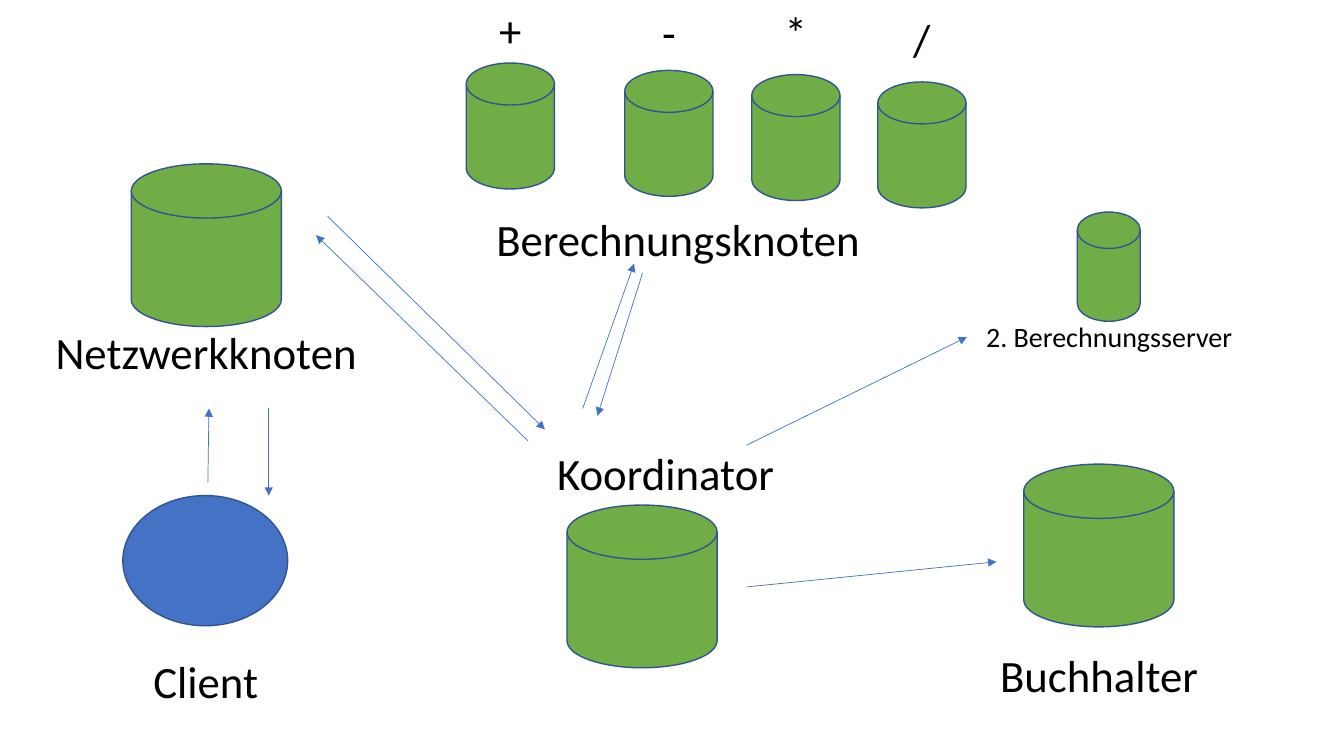
"""Build a slide of a compute network: client, nodes, coordinator and servers."""
import dataclasses

import pptx
import pptx.dml.color
import pptx.enum.shapes
import pptx.enum.text
import pptx.oxml
import pptx.util

Kind = pptx.enum.shapes.MSO_SHAPE


@dataclasses.dataclass(frozen=True)
class Theme:
    """Colours, font and sizes in points."""
    node: str = "70AD47"
    client: str = "4472C4"
    edge: str = "325491"
    arrow: str = "4472C4"
    ink: str = "000000"
    font: str = "Calibri"
    large: int = 32
    small: int = 20
    rim: float = 1
    thin: float = 0.5


def px(num):
    """Turn px into EMU."""
    return pptx.util.Emu(num * 9525)


def rgb(code):
    """Turn a hex code into a colour."""
    return pptx.dml.color.RGBColor.from_string(code)


def put(item, **form):
    """Set each format value on the item."""
    for name, value in form.items():
        setattr(item, name, value)


class Board:
    """Hold the theme and the current slide."""

    def __init__(self, slide, theme):
        """Keep the slide's shapes and the theme."""
        self.shapes = slide.shapes
        self.theme = theme

    def solid(self, kind, box, fill):
        """Add an outlined shape."""
        shape = self.shapes.add_shape(kind, *map(px, box))
        shape.shadow.inherit = False
        shape.fill.solid()
        shape.fill.fore_color.rgb = rgb(fill)
        shape.line.color.rgb = rgb(self.theme.edge)
        shape.line.width = pptx.util.Pt(self.theme.rim)

    def disk(self, box):
        """Add a green drum."""
        self.solid(Kind.FLOWCHART_MAGNETIC_DISK, box, self.theme.node)

    def label(self, text, box, size, wrap=False):
        """Add a centred line of text."""
        shape = self.shapes.add_textbox(*map(px, box))
        frame = shape.text_frame
        put(frame, text=text, word_wrap=wrap,
            auto_size=pptx.enum.text.MSO_AUTO_SIZE.SHAPE_TO_FIT_TEXT)
        para = frame.paragraphs[0]
        para.alignment = pptx.enum.text.PP_ALIGN.CENTER
        font = para.runs[0].font
        put(font, name=self.theme.font, size=pptx.util.Pt(size))
        font.color.rgb = rgb(self.theme.ink)
        return shape

    def arrow(self, ends):
        """Add a thin line with a head at its end."""
        link = self.shapes.add_connector(
            pptx.enum.shapes.MSO_CONNECTOR.STRAIGHT, *map(px, ends))
        link.line.color.rgb = rgb(self.theme.arrow)
        link.line.width = pptx.util.Pt(self.theme.thin)
        space = pptx.oxml.ns.nsdecls("a")
        head = pptx.oxml.parse_xml(f'<a:tailEnd {space} type="triangle"/>')
        link.line._get_or_add_ln().append(head)
        link._element.spPr.append(pptx.oxml.parse_xml(f"<a:effectLst {space}/>"))
        return link


SIGNS = [("+", 444, 60, -2), ("-", 595, 67, 0),
         ("*", 716, 71, 0), ("/", 836, 78, 6)]
DRUMS = [(125, 156), (540, 481), (975, 442)]
NAMES = [("Berechnungsknoten", 461, 197, 370, False),
         ("Netzwerkknoten", 42, 305, 309, False),
         ("Buchhalter", 942, 612, 210, False),
         ("Client", 136, 618, 120, True),
         ("Koordinator", 520, 420, 228, False)]
ARROWS = [(198, 460, 199, 389), (256, 389, 256, 472),
          (312, 206, 519, 409), (503, 420, 301, 224),
          (555, 389, 604, 251), (612, 260, 569, 396),
          (711, 559, 949, 535)]


def main():
    """Draw the network and save it."""
    deck = pptx.Presentation()
    put(deck, slide_width=px(1280), slide_height=px(720))
    theme = Theme()
    board = Board(deck.slides.add_slide(deck.slide_layouts[6]), theme)

    board.solid(Kind.OVAL, (117, 472, 157, 124), theme.client)
    for sign, left, top, high in SIGNS:
        board.disk((left, top, 84, 120))
        board.label(sign, (left, high, 84, 61), theme.large, True)
    for left, top in DRUMS:
        board.disk((left, top, 143, 155))
    for name, left, top, width, wrap in NAMES:
        board.label(name, (left, top, width, 61), theme.large, wrap)
    for ends in ARROWS:
        board.arrow(ends)

    server = board.label("2. Berechnungsserver", (921, 300, 271, 42),
                         theme.small, True)
    board.disk((1026, 202, 60, 104))
    board.arrow((711, 424, 921, 321)).end_connect(server, 1)
    deck.save("out.pptx")


if __name__ == "__main__":
    main()
